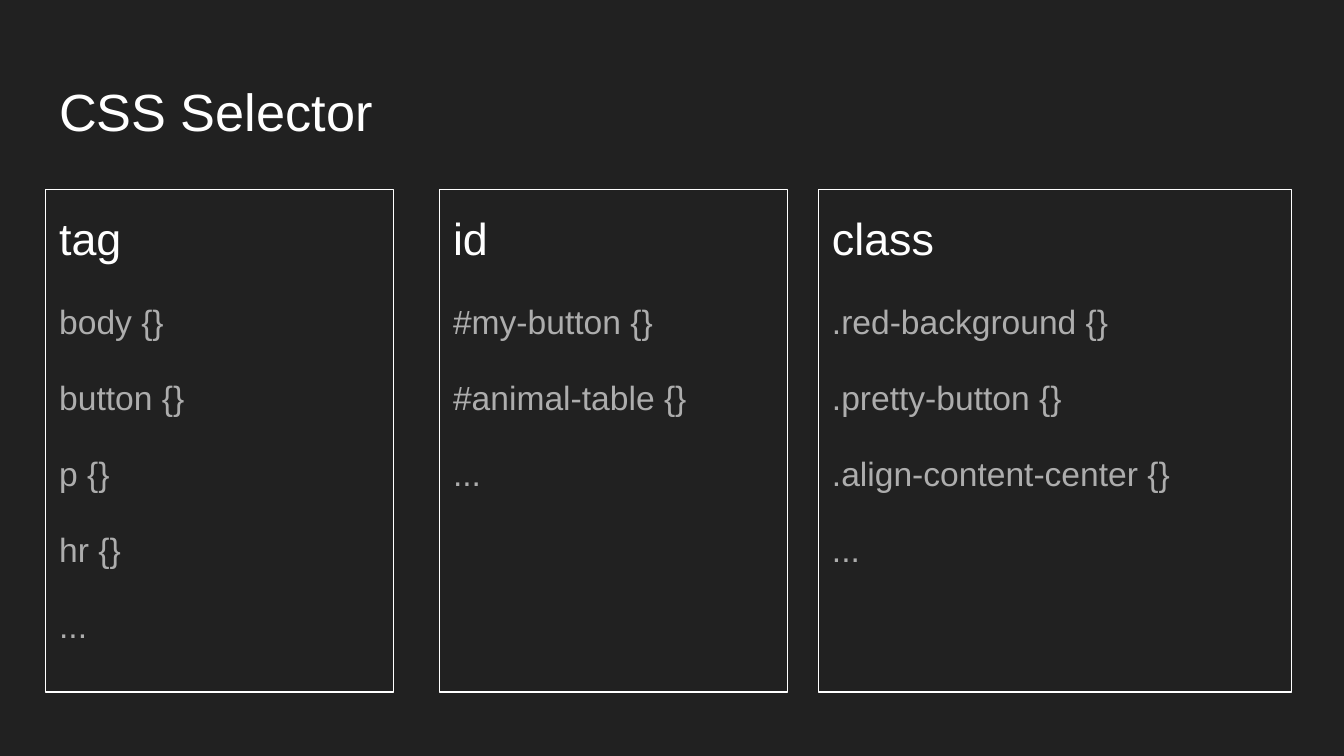
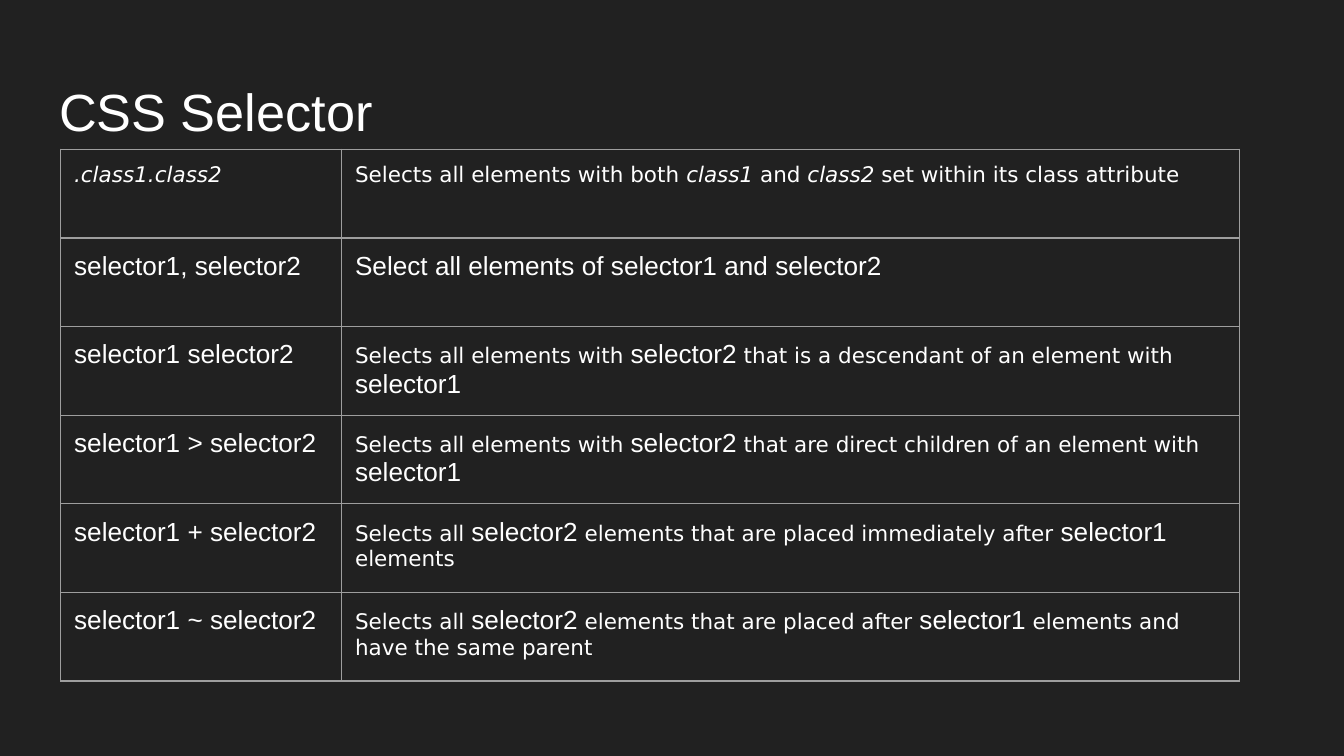
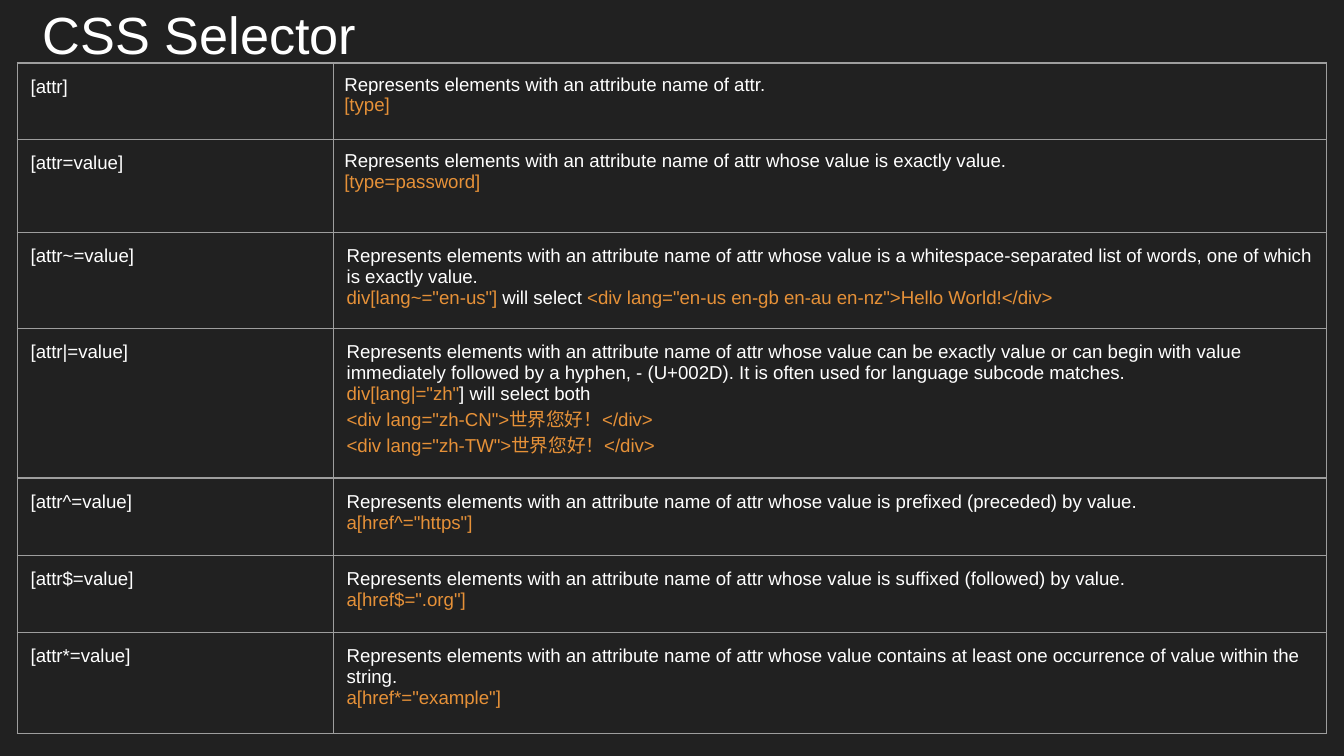
import pptx
import pptx.dml.color
import pptx.enum.text
import pptx.oxml
import pptx.oxml.ns
import pptx.util
from dataclasses import dataclass

Pt = pptx.util.Pt
TITLE_ONLY, COMPARISON = 5, 4


@dataclass(frozen=True)
class Theme:
    # Colours
    background: str = "212121"
    white: str = "FFFFFF"
    muted: str = "ADADAD"
    accent: str = "E69138"
    border: str = "9E9E9E"
    # Fonts and type sizes
    font: str = "Arial"
    prose_font: str = "DejaVu Sans"
    title: float = 28
    heading: float = 24
    body: float = 18
    selector: float = 14
    prose: float = 11.5
    small: float = 10
    # Line width and text inset
    line: float = 0.75
    inset: float = 7.2


THEME = Theme()


def rgb(value):
    return pptx.dml.color.RGBColor.from_string(value)


def add_span(para, text, size=THEME.selector, color=THEME.white,
             font=THEME.font, italic=False):
    """Add one run of text with its format to a paragraph."""
    span = para.add_run()
    span.text = text
    span.font.name = font
    span.font.size = Pt(size)
    span.font.color.rgb = rgb(color)
    span.font.bold = False
    span.font.italic = italic


def set_insets(target, inset):
    for side in ("left", "top", "right", "bottom"):
        setattr(target, f"margin_{side}", Pt(inset))


def xml(text):
    return pptx.oxml.parse_xml(text.replace(">", f" {pptx.oxml.ns.nsdecls('a')}>", 1))


# Span kinds: each gives a pair of text and format
def prose(text, italic=False):
    return text, dict(size=THEME.prose, font=THEME.prose_font, italic=italic)


def selector(text):
    return text, dict(size=THEME.selector)


def note(text):
    return text, dict(size=THEME.small)


def code(text):
    return text, dict(size=THEME.small, color=THEME.accent)


class DeckBuilder:
    def __init__(self, theme):
        self.theme = theme
        self.deck = pptx.Presentation()
        self.deck.slide_width, self.deck.slide_height = Pt(720), Pt(405)
        self.page = None

    def new_page(self, title, layout=TITLE_ONLY, left=24.5, top=35.3):
        self.page = self.deck.slides.add_slide(self.deck.slide_layouts[layout])
        fill = self.page.background.fill
        fill.solid()
        fill.fore_color.rgb = rgb(self.theme.background)
        box = self.page.shapes.title
        self.place(box, left, top, 671, 45.4)
        self.write_line(box.text_frame.paragraphs[0], title, size=self.theme.title)

    def place(self, box, left, top, width, height):
        box.left, box.top, box.width, box.height = map(Pt, (left, top, width, height))
        frame = box.text_frame
        frame.word_wrap = True
        frame.auto_size = pptx.enum.text.MSO_AUTO_SIZE.NONE
        frame.vertical_anchor = pptx.enum.text.MSO_ANCHOR.TOP
        set_insets(frame, self.theme.inset)

    def write_line(self, para, text, spacing=1.0, before=0, **text_format):
        para.alignment = pptx.enum.text.PP_ALIGN.LEFT
        para.line_spacing = spacing
        para.space_before = Pt(before)
        add_span(para, text, **text_format)

    def panel(self, box, left, width, heading, items):
        """Turn a body placeholder into an outlined list with a heading."""
        self.place(box, left, 101.5, width, 269.3)
        box.line.color.rgb = rgb(self.theme.white)
        box.line.width = Pt(self.theme.line)
        frame = box.text_frame
        self.write_line(frame.paragraphs[0], heading, spacing=1.15,
                        size=self.theme.heading)
        for item in items:
            self.write_line(frame.add_paragraph(), item, spacing=1.15, before=16,
                            size=self.theme.body, color=self.theme.muted)
        for para in frame.paragraphs:
            properties = para._p.get_or_add_pPr()
            properties.set("marL", "0")
            properties.set("indent", "0")
            properties.append(xml("<a:buNone></a:buNone>"))

    def table(self, left, top, widths, heights, rows, tight_rows=0):
        """Add a grid; each cell is a list of lines, each line a list of spans."""
        frame = self.page.shapes.add_table(
            len(rows), len(widths), Pt(left), Pt(top), Pt(sum(widths)), Pt(sum(heights)))
        grid = frame.table
        grid.first_row = grid.horz_banding = False
        for column, width in zip(grid.columns, widths):
            column.width = Pt(width)
        for r, (height, row) in enumerate(zip(heights, rows)):
            grid.rows[r].height = Pt(height)
            for c, lines in enumerate(row):
                tight = c == 1 and r < tight_rows
                self.fill_cell(grid.cell(r, c), lines, 6 if tight else self.theme.inset)

    def fill_cell(self, cell, lines, inset):
        set_insets(cell, inset)
        properties = cell._tc.get_or_add_tcPr()
        for side in "LRTB":
            properties.append(xml(
                f'<a:ln{side} w="{Pt(self.theme.line)}"><a:solidFill>'
                f'<a:srgbClr val="{self.theme.border}"/></a:solidFill></a:ln{side}>'))
        cell.fill.background()
        for number, line in enumerate(lines):
            frame = cell.text_frame
            para = frame.add_paragraph() if number else frame.paragraphs[0]
            for text, text_format in line:
                add_span(para, text, **text_format)


def selector_kinds(builder):
    builder.new_page("CSS Selector", layout=COMPARISON)
    panels = [
        (24.5, 186.5, "tag", ["body {}", "button {}", "p {}", "hr {}", "..."]),
        (235.5, 186.5, "id", ["#my-button {}", "#animal-table {}", "..."]),
        (438.5, 253.5, "class", [".red-background {}", ".pretty-button {}",
                                 ".align-content-center {}", "..."]),
    ]
    boxes = list(builder.page.placeholders)[1:]
    for box, panel in zip(boxes, panels):
        builder.panel(box, *panel)
    # Remove the placeholder that is left empty
    for box in boxes[len(panels):]:
        box.element.getparent().remove(box.element)


def selector_combinations(builder):
    builder.new_page("CSS Selector")
    first, second = selector("selector1"), selector("selector2")
    rows = [
        (prose(".class1.class2", italic=True),
         [prose("Selects all elements with both "), prose("class1", italic=True),
          prose(" and "), prose("class2", italic=True),
          prose(" set within its class attribute")]),
        (selector("selector1, selector2"),
         [selector("Select all elements of selector1 and selector2")]),
        (selector("selector1 selector2"),
         [prose("Selects all elements with "), second,
          prose(" that is a descendant of an element with "), first]),
        (selector("selector1 > selector2"),
         [prose("Selects all elements with "), second,
          prose(" that are direct children of an element with "), first]),
        (selector("selector1 + selector2"),
         [prose("Selects all "), second,
          prose(" elements that are placed immediately after "), first,
          prose(" elements")]),
        (selector("selector1 ~ selector2"),
         [prose("Selects all "), second,
          prose(" elements that are placed after "), first,
          prose(" elements and have the same parent")]),
    ]
    builder.table(32.5, 80, [150.5, 481], [47.5] * len(rows),
                  [([[pattern]], [meaning]) for pattern, meaning in rows])


def attribute_selectors(builder):
    builder.new_page("CSS Selector", left=15.8, top=-5.8)
    lead = "Represents elements with an attribute name of attr"
    # Pattern, end of the sentence, example lines
    rows = [
        ("[attr]", ".", [[code("[type]")]]),
        ("[attr=value]", " whose value is exactly value.", [[code("[type=password]")]]),
        ("[attr~=value]",
         " whose value is a whitespace-separated list of words, "
         "one of which is exactly value.",
         [[code('div[lang~="en-us"]'), note(" will select "),
           code('<div lang="en-us en-gb en-au en-nz">Hello World!</div>')]]),
        ("[attr|=value]",
         " whose value can be exactly value or can begin with value immediately "
         "followed by a hyphen, - (U+002D). "
         "It is often used for language subcode matches.",
         [[code('div[lang|="zh"'), note("] will select both")],
          [code('<div lang="zh-CN">世界您好！</div>')],
          [code('<div lang="zh-TW">世界您好！</div>')]]),
        ("[attr^=value]", " whose value is prefixed (preceded) by value.",
         [[code('a[href^="https"]')]]),
        ("[attr$=value]", " whose value is suffixed (followed) by value.",
         [[code('a[href$=".org"]')]]),
        ("[attr*=value]",
         " whose value contains at least one occurrence of value within the string.",
         [[code('a[href*="example"]')]]),
    ]
    builder.table(9.2, 33.8, [169.3, 532], [41, 49.8, 51.5, 80, 41.4, 41.4, 54],
                  [([[note(pattern)]], [[note(lead + ending)], *examples])
                   for pattern, ending, examples in rows],
                  tight_rows=2)


def main():
    builder = DeckBuilder(THEME)
    selector_kinds(builder)
    selector_combinations(builder)
    attribute_selectors(builder)
    builder.deck.save("out.pptx")


if __name__ == "__main__":
    main()
